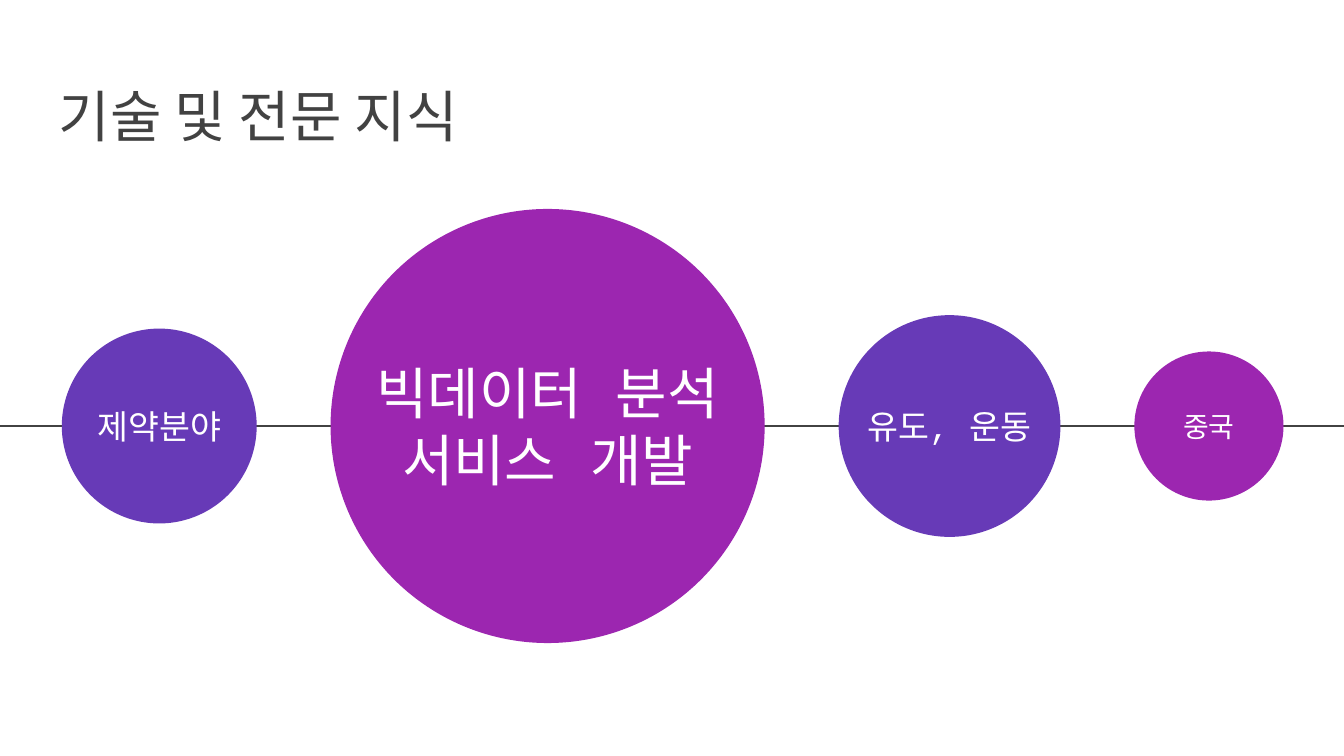
from lxml.etree import SubElement
from pptx import Presentation
from pptx.dml.color import RGBColor
from pptx.enum.lang import MSO_LANGUAGE_ID
from pptx.enum.shapes import MSO_CONNECTOR, MSO_SHAPE
from pptx.enum.text import MSO_ANCHOR, PP_ALIGN
from pptx.oxml.ns import qn
from pptx.util import Inches, Pt

COLORS = {"ink": "424242", "violet": "673AB7", "magenta": "9C26B0", "white": "FFFFFF"}
AXIS_Y = 3.17
FIRST_LEFT = 0.46
GAP = 0.55
LABEL_HEIGHT = 0.66
SKILLS = [
    ("제약분야", 1.45, 18, "violet"),
    ("빅데이터 분석\n서비스 개발", 3.23, 30, "magenta"),
    ("유도, 운동", 1.65, 18, "violet"),
    ("중국", 1.11, 15, "magenta"),
]


def color(name):
    return RGBColor.from_string(COLORS[name])


def format_span(span, size, font, ink):
    span.font.name = font
    span.font.size = Pt(size)
    span.font.color.rgb = color(ink)
    span.font.language_id = MSO_LANGUAGE_ID.KOREAN
    properties = span._r.get_or_add_rPr()
    for tag in ("a:ea", "a:cs"):
        SubElement(properties, qn(tag), typeface=font)


def add_text(page, text, left, top, width, height, size, font, ink, align, anchor):
    box = page.shapes.add_textbox(Inches(left), Inches(top), Inches(width), Inches(height))
    frame = box.text_frame
    frame.word_wrap = True
    frame.vertical_anchor = anchor
    frame.margin_left = frame.margin_right = Inches(0.1)
    frame.margin_top = frame.margin_bottom = Inches(0.1)
    frame.text = text
    for para in frame.paragraphs:
        para.alignment = align
        for span in para.runs:
            format_span(span, size, font, ink)


def add_axis(page):
    axis = page.shapes.add_connector(
        MSO_CONNECTOR.STRAIGHT, Inches(-0.01), Inches(AXIS_Y), Inches(10), Inches(AXIS_Y)
    )
    axis.line.color.rgb = color("ink")
    axis.line.width = Pt(1.5)
    SubElement(axis.element.spPr, qn("a:effectLst"))


def add_skill(page, text, left, diameter, size, fill):
    circle = page.shapes.add_shape(
        MSO_SHAPE.OVAL,
        Inches(left),
        Inches(AXIS_Y - diameter / 2),
        Inches(diameter),
        Inches(diameter),
    )
    circle.shadow.inherit = False
    circle.fill.solid()
    circle.fill.fore_color.rgb = color(fill)
    circle.line.fill.background()
    add_text(page, text, left, AXIS_Y - LABEL_HEIGHT / 2, diameter, LABEL_HEIGHT,
             size, "Courier New", "white", PP_ALIGN.CENTER, MSO_ANCHOR.MIDDLE)


def main():
    deck = Presentation()
    deck.slide_width = Inches(10)
    deck.slide_height = deck.slide_width * 9 // 16
    page = deck.slides.add_slide(deck.slide_layouts[6])
    add_axis(page)
    add_text(page, "기술 및 전문 지식", 0.34, 0.41, 9.32, 0.8,
             30, "Roboto Condensed", "ink", PP_ALIGN.LEFT, MSO_ANCHOR.BOTTOM)
    left = FIRST_LEFT
    for text, diameter, size, fill in SKILLS:
        add_skill(page, text, left, diameter, size, fill)
        left += diameter + GAP
    deck.save("out.pptx")


if __name__ == "__main__":
    main()
